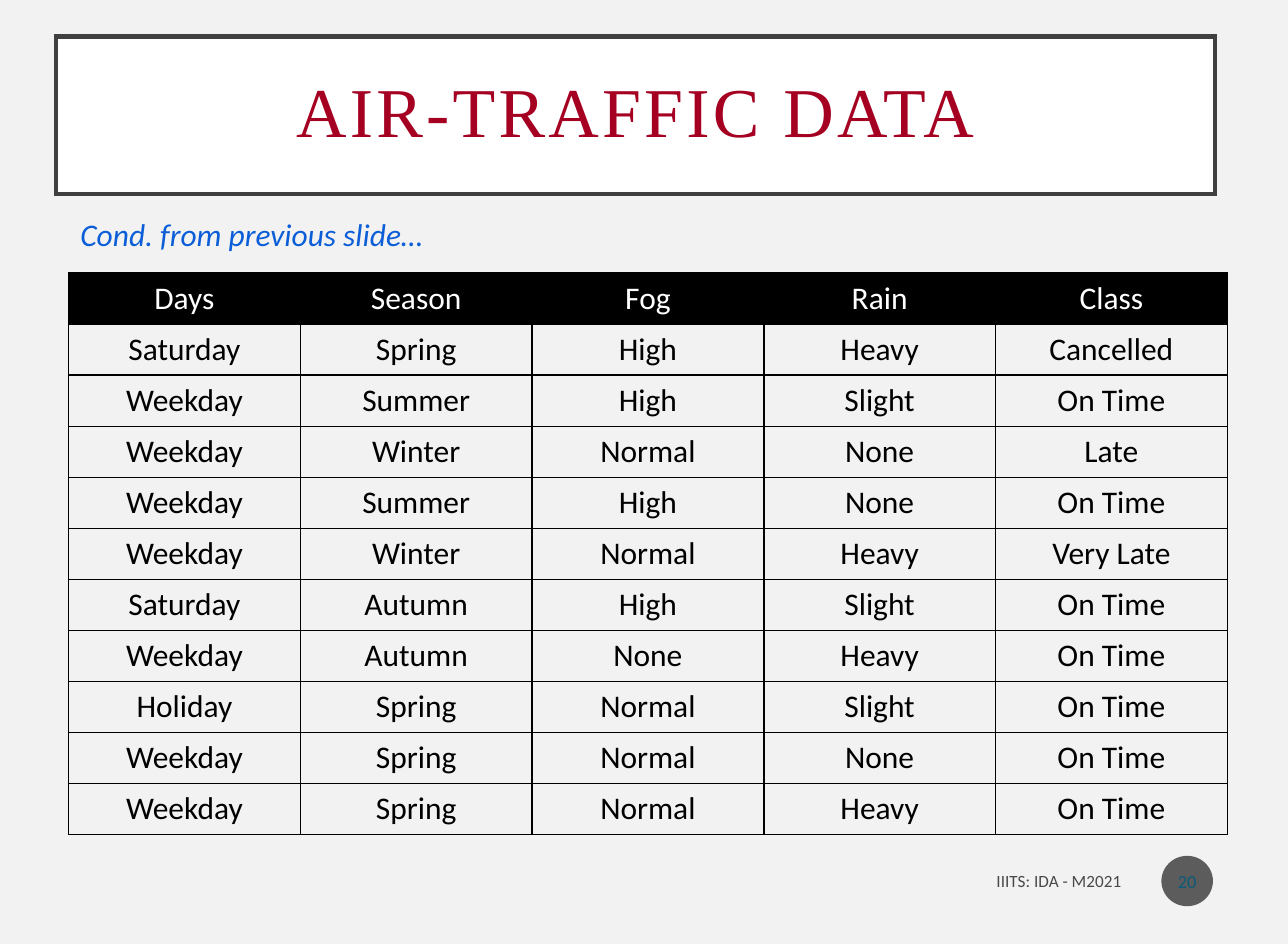
from lxml import etree
from pptx import Presentation
from pptx.dml.color import RGBColor
from pptx.enum.shapes import MSO_SHAPE
from pptx.enum.text import MSO_ANCHOR, PP_ALIGN
from pptx.oxml.ns import qn
from pptx.util import Cm, Inches, Pt

RECT, OVAL = MSO_SHAPE.RECTANGLE, MSO_SHAPE.OVAL
LEFT, MID, RIGHT = PP_ALIGN.LEFT, PP_ALIGN.CENTER, PP_ALIGN.RIGHT
TOP, CENTER = MSO_ANCHOR.TOP, MSO_ANCHOR.MIDDLE
HEX = {
    "back": "F2F2F2", "white": "FFFFFF", "black": "000000", "frame": "404040",
    "title": "A50021", "note": "0B5ED7", "foot": "494949", "disc": "1D1D1D",
    "page": "0B5A78",
}
TINT = {name: RGBColor.from_string(code) for name, code in HEX.items()}
UNIT = Inches(0.01)


def grid(*cells):
    return [round(cell * UNIT) for cell in cells]


def write(frame, text, size, tint, align=MID, anchor=CENTER, font="Calibri"):
    frame.vertical_anchor = anchor
    para = frame.paragraphs[0]
    para.alignment = align
    run = para.add_run()
    run.text = text
    run.font.size = Pt(size)
    run.font.name = font
    run.font.color.rgb = TINT[tint]
    return run


deck = Presentation()
deck.slide_width, deck.slide_height = Cm(26), Cm(19.05)
slide = deck.slides.add_slide(deck.slide_layouts[6])
slide.background.fill.solid()
slide.background.fill.fore_color.rgb = TINT["back"]
shapes = slide.shapes

title = shapes.add_shape(RECT, *grid(44.5, 29, 921, 125))
title.shadow.inherit = False
title.fill.solid()
title.fill.fore_color.rgb = TINT["white"]
title.line.color.rgb = TINT["frame"]
title.line.width = Pt(2.5)
etree.SubElement(title.line._get_or_add_ln(), qn("a:miter"), lim="800000")
run = write(title.text_frame, "AIR-TRAFFIC DATA", 40, "title", font="Times New Roman")
run.font._element.set("spc", "190")
title.text_frame.paragraphs[0].line_spacing = 0.9

rows = [
    ("Days", "Season", "Fog", "Rain", "Class"),
    ("Saturday", "Spring", "High", "Heavy", "Cancelled"),
    ("Weekday", "Summer", "High", "Slight", "On Time"),
    ("Weekday", "Winter", "Normal", "None", "Late"),
    ("Weekday", "Summer", "High", "None", "On Time"),
    ("Weekday", "Winter", "Normal", "Heavy", "Very Late"),
    ("Saturday", "Autumn", "High", "Slight", "On Time"),
    ("Weekday", "Autumn", "None", "Heavy", "On Time"),
    ("Holiday", "Spring", "Normal", "Slight", "On Time"),
    ("Weekday", "Spring", "Normal", "None", "On Time"),
    ("Weekday", "Spring", "Normal", "Heavy", "On Time"),
]
table = shapes.add_table(len(rows), len(rows[0]), *grid(54.5, 217, 921, 446)).table
table.first_row = table.horz_banding = False
for r, row in enumerate(rows):
    for c, text in enumerate(row):
        cell = table.cell(r, c)
        props = cell._tc.get_or_add_tcPr()
        for side in ("a:lnL", "a:lnR", "a:lnT", "a:lnB"):
            edge = etree.SubElement(props, qn(side), w=str(Pt(1)))
            paint = etree.SubElement(edge, qn("a:solidFill"))
            etree.SubElement(paint, qn("a:srgbClr"), val=HEX["black"])
        if r == 0:
            cell.fill.solid()
            cell.fill.fore_color.rgb = TINT["black"]
        else:
            cell.fill.background()
        write(cell.text_frame, text, 18, "black" if r else "white", anchor=TOP)

disc = shapes.add_shape(OVAL, *grid(923, 680, 41, 40))
disc.shadow.inherit = False
disc.fill.solid()
disc.fill.fore_color.rgb = TINT["disc"]
shade = disc.fill._xPr.find(".//" + qn("a:srgbClr"))
etree.SubElement(shade, qn("a:alpha"), val="70000")
disc.line.fill.background()
frame = disc.text_frame
frame.margin_left = frame.margin_right = 0
frame.margin_top = frame.margin_bottom = 0
frame.word_wrap = False
write(frame, "20", 10.5, "page")

note = shapes.add_textbox(*grid(54, 166, 309, 40)).text_frame
note.word_wrap = False
write(note, "Cond. from previous slide…", 18, "note", LEFT, TOP).font.italic = True

foot = shapes.add_textbox(*grid(670, 682.5, 231, 35)).text_frame
foot.word_wrap = True
write(foot, "IIITS: IDA - M2021", 9.8, "foot", RIGHT)

deck.save("out.pptx")
